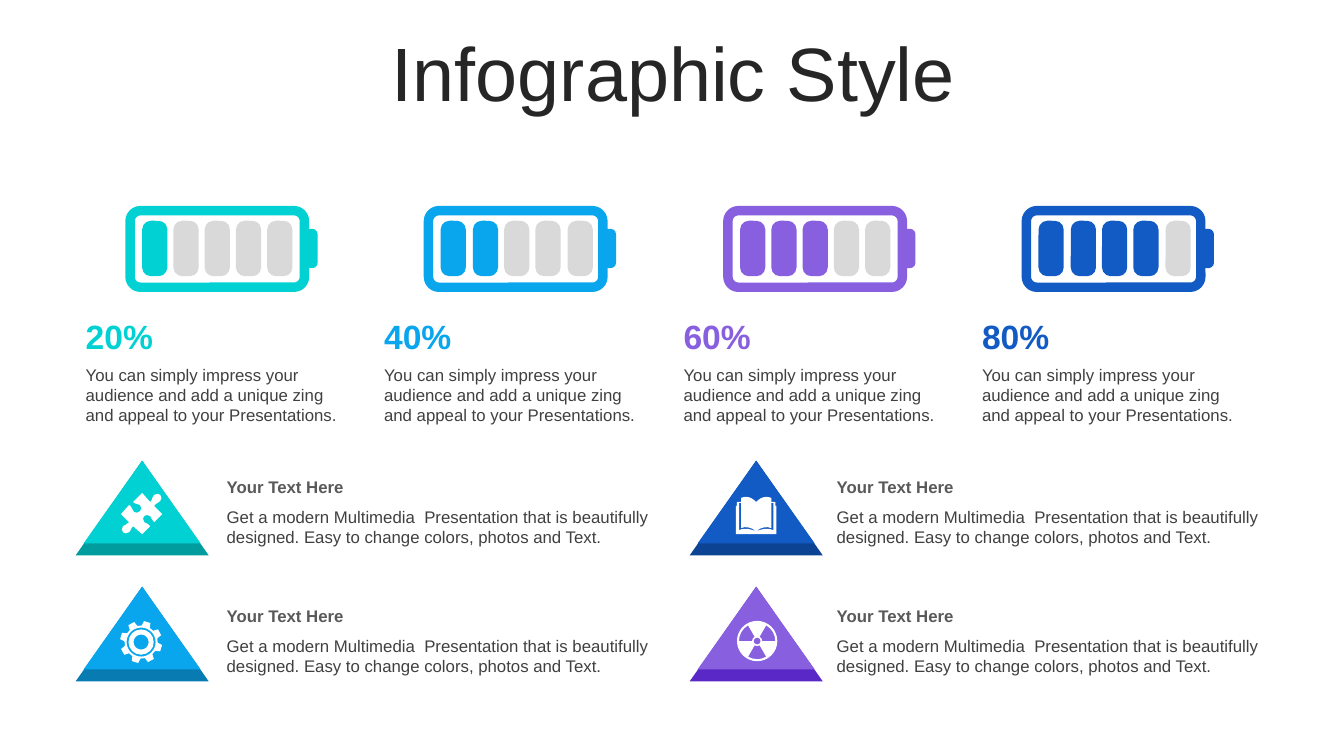
from dataclasses import dataclass
from math import ceil, cos, radians, sin, tan

from pptx import Presentation
from pptx.dml.color import RGBColor
from pptx.enum.shapes import MSO_SHAPE
from pptx.enum.text import MSO_ANCHOR, MSO_AUTO_SIZE, PP_ALIGN
from pptx.oxml.ns import qn
from pptx.slide import Slide
from pptx.util import Pt

PX = 9144  # EMU per px, 100 px to the inch

WHITE = RGBColor(0xFF, 0xFF, 0xFF)
TITLE_INK = RGBColor(0x26, 0x26, 0x26)
BODY_INK = RGBColor(0x40, 0x40, 0x40)
HEADING_INK = RGBColor(0x59, 0x59, 0x59)
EMPTY_CELL = RGBColor(0xD9, 0xD9, 0xD9)
TEAL, DARK_TEAL = RGBColor(0x01, 0xD1, 0xD3), RGBColor(0x01, 0x9D, 0x9E)
SKY, DARK_SKY = RGBColor(0x0A, 0xA6, 0xED), RGBColor(0x08, 0x7C, 0xB2)
VIOLET, DARK_VIOLET = RGBColor(0x87, 0x5F, 0xDF), RGBColor(0x59, 0x28, 0xC7)
BLUE, DARK_BLUE = RGBColor(0x12, 0x5A, 0xC4), RGBColor(0x0D, 0x43, 0x93)

CELL_COUNT = 5
BATTERY_TEXT = ("You can simply impress your audience and add a unique zing "
                "and appeal to your Presentations.")
TOPIC_HEADING = "Your Text Here"
TOPIC_TEXT = ("Get a modern Multimedia  Presentation that is beautifully designed. "
              "Easy to change colors, photos and Text.")

# A contour is a list of points (2 numbers) and cubic curves (6 numbers)
Contour = list[tuple[float, ...]]


@dataclass(frozen=True)
class Battery:
    charged: int
    color: RGBColor
    cell_span: int  # from the first cell to the last


@dataclass(frozen=True)
class Topic:
    triangle_left: int
    triangle_top: int
    text_left: int
    heading_top: int
    color: RGBColor
    base_color: RGBColor
    icon_center: tuple[int, int]
    icon: list[Contour]


# Icon geometry, in px around the icon's centre
def polar(radius: float, degrees: float) -> tuple[float, float]:
    return radius * cos(radians(degrees)), radius * sin(radians(degrees))


def arc(radius: float, start: float, end: float) -> Contour:
    count = ceil(abs(end - start) / 90)
    turn = (end - start) / count
    reach = 4 / 3 * tan(radians(turn) / 4)
    contour: Contour = [polar(radius, start)]
    for number in range(count):
        angle = start + number * turn
        (x0, y0), (x3, y3) = polar(radius, angle), polar(radius, angle + turn)
        contour.append((x0 - reach * y0, y0 + reach * x0,
                        x3 + reach * y3, y3 - reach * x3, x3, y3))
    return contour


def mirror(contour: Contour) -> Contour:
    return [tuple(v if i % 2 else -v for i, v in enumerate(part)) for part in contour]


def gear() -> list[Contour]:
    teeth = [polar(radius, 17 + 45 * tooth + turn) for tooth in range(8)
             for radius, turn in ((16.4, -15), (21, -9), (21, 9), (16.4, 15))]
    return [teeth] + [arc(radius, 0, 360) for radius in (14.4, 12.5, 7.5)]


def trefoil() -> list[Contour]:
    blades = [arc(5, middle - 30, middle + 30) + arc(18, middle + 30, middle - 30)
              for middle in (90, 210, 330)]
    return [arc(20, 0, 360), arc(3.5, 0, 360)] + blades


def book() -> list[Contour]:
    cover = [(0, 18), (-20, 18), (-20, -10), (-19, -10), (-19, -14), (-15, -14), (-15, -18),
             (-13, -19, -11, -19, -10, -19), (-6, -19, -3, -17, 0, -14)]
    page_edge = [(-17, -13), (-15, -13), (-15, 12), (-11, 10, -5, 11, 0, 15),
                 (-7, 13, -10, 11, -17, 14)]
    spine = [(-0.2, -13), (0.2, -13), (0.2, 15), (-0.2, 15)]
    return [cover, mirror(cover), page_edge, mirror(page_edge), spine]


def puzzle() -> list[Contour]:
    return [[
        (19, -19), (20, -17, 21, -15, 19, -13), (17, -10, 15, -12, 13, -8),
        (21, 0), (13, 8), (10, 6, 11, 4, 9, 2), (7, 0, 4, 1, 3, 2),
        (2, 3, 1, 6, 3, 8), (6, 10, 7, 9, 9, 12),
        (1, 20), (-8, 12), (-11, 14, -9, 15, -12, 18), (-14, 20, -17, 19, -18, 18),
        (-19, 17, -20, 14, -18, 12), (-16, 10, -14, 11, -12, 8),
        (-20, 0), (-12, -9), (-8, -7, -10, -4, -7, -2), (-5, -1, -3, -1, -1, -3),
        (0, -4, 1, -7, -1, -9), (-4, -11, -5, -9, -8, -12),
        (1, -21), (9, -12), (12, -15, 10, -16, 13, -19), (15, -21, 18, -20, 19, -19)]]


BATTERIES = [Battery(1, TEAL, 124), Battery(2, SKY, 126),
             Battery(3, VIOLET, 124), Battery(4, BLUE, 126)]
TOPICS = [
    Topic(75, 457, 215, 468, TEAL, DARK_TEAL, (140, 510), puzzle()),
    Topic(684, 457, 820, 468, BLUE, DARK_BLUE, (750, 512), book()),
    Topic(75, 582, 215, 596, SKY, DARK_SKY, (140, 637), gear()),
    Topic(684, 582, 820, 596, VIOLET, DARK_VIOLET, (751, 636), trefoil()),
]


def add_filled(slide: Slide, kind: MSO_SHAPE, left: int, top: int, width: int, height: int,
               color: RGBColor, rounding: float | None = None) -> None:
    part = slide.shapes.add_shape(kind, left * PX, top * PX, width * PX, height * PX)
    part.shadow.inherit = False
    part.fill.solid()
    part.fill.fore_color.rgb = color
    part.line.fill.background()
    if rounding is not None:
        part.adjustments[0] = rounding


def add_label(slide: Slide, words: str, left: int, top: int, width: int, height: int,
              size: int, color: RGBColor, bold: bool = False, inset: int = 10,
              anchor: MSO_ANCHOR = MSO_ANCHOR.TOP) -> None:
    frame = slide.shapes.add_textbox(left * PX, top * PX, width * PX, height * PX).text_frame
    frame.word_wrap = True
    frame.auto_size = MSO_AUTO_SIZE.SHAPE_TO_FIT_TEXT
    frame.vertical_anchor = anchor
    frame.margin_left = inset * PX
    frame.text = words
    font = frame.paragraphs[0].runs[0].font
    font.name, font.size, font.bold = "Arial", Pt(size), bold
    font.color.rgb = color


def add_icon(slide: Slide, center: tuple[int, int], contours: list[Contour]) -> None:
    placed = [[((center[0] + part[i]) * PX, (center[1] + part[i + 1]) * PX)
               for part in contour for i in range(0, len(part), 2)] for contour in contours]
    builder = slide.shapes.build_freeform(*placed[0][0])
    for number, points in enumerate(placed):
        if number:
            builder.move_to(*points[0])
        builder.add_line_segments(points[1:], close=True)
    icon = builder.convert_to_shape()
    icon.shadow.inherit = False
    icon.fill.solid()
    icon.fill.fore_color.rgb = WHITE
    icon.line.fill.background()
    # Join each three segments of a curve into one cubic curve
    segments = iter(list(icon._element.iter(qn("a:lnTo"))))
    for part in (part for contour in contours for part in contour[1:]):
        segment = next(segments)
        if len(part) == 6:
            segment.tag = qn("a:cubicBezTo")
            for follower in (next(segments), next(segments)):
                segment.append(follower[0])
                follower.getparent().remove(follower)


def add_battery(slide: Slide, battery: Battery, left: int) -> None:
    case = slide.shapes.add_shape(MSO_SHAPE.ROUNDED_RECTANGLE,
                                  left * PX, 209 * PX, 173 * PX, 76 * PX)
    case.shadow.inherit = False
    case.adjustments[0] = 0.136
    case.fill.background()
    case.line.color.rgb = battery.color
    case.line.width = Pt(6.75)
    add_filled(slide, MSO_SHAPE.ROUNDED_RECTANGLE, left + 171, 227, 15, 39,
               battery.color, 0.356)
    for cell in range(CELL_COUNT):
        offset = 12 + round(cell * battery.cell_span / (CELL_COUNT - 1))
        add_filled(slide, MSO_SHAPE.ROUNDED_RECTANGLE, left + offset, 219, 25, 55,
                   battery.color if cell < battery.charged else EMPTY_CELL, 0.348)
    add_label(slide, f"{battery.charged * 100 // CELL_COUNT}%", left - 44, 308, 274, 50, 24,
              battery.color, bold=True, inset=0, anchor=MSO_ANCHOR.MIDDLE)
    add_label(slide, BATTERY_TEXT, left - 44, 357, 274, 71, 12, BODY_INK, inset=0)


def add_topic(slide: Slide, topic: Topic) -> None:
    left, top = topic.triangle_left, topic.triangle_top
    add_filled(slide, MSO_SHAPE.ISOSCELES_TRIANGLE, left, top, 132, 94, topic.base_color)
    add_filled(slide, MSO_SHAPE.ISOSCELES_TRIANGLE, left + 8, top, 116, 82, topic.color)
    add_icon(slide, topic.icon_center, topic.icon)
    add_label(slide, TOPIC_HEADING, topic.text_left, topic.heading_top, 443, 30, 12,
              HEADING_INK, bold=True)
    add_label(slide, TOPIC_TEXT, topic.text_left, topic.heading_top + 30, 447, 50, 12, BODY_INK)


def add_title(slide: Slide) -> None:
    title = slide.shapes.title
    title.left, title.top, title.width, title.height = 35 * PX, 37 * PX, 1266 * PX, 79 * PX
    frame = title.text_frame
    frame.text = "Infographic Style"
    frame.auto_size = MSO_AUTO_SIZE.NONE
    frame.vertical_anchor = MSO_ANCHOR.MIDDLE
    heading = frame.paragraphs[0]
    heading.alignment, heading.line_spacing = PP_ALIGN.CENTER, 0.9
    font = heading.runs[0].font
    font.name, font.size = "Arial", Pt(54)
    font.color.rgb = TITLE_INK


def main() -> None:
    presentation = Presentation()
    presentation.slide_width, presentation.slide_height = 1333 * PX, 750 * PX
    slide = presentation.slides.add_slide(presentation.slide_layouts[5])
    add_title(slide)
    for column, battery in enumerate(BATTERIES):
        add_battery(slide, battery, 129 + round(column * 296.33))
    for topic in TOPICS:
        add_topic(slide, topic)
    presentation.save("out.pptx")


if __name__ == "__main__":
    main()
